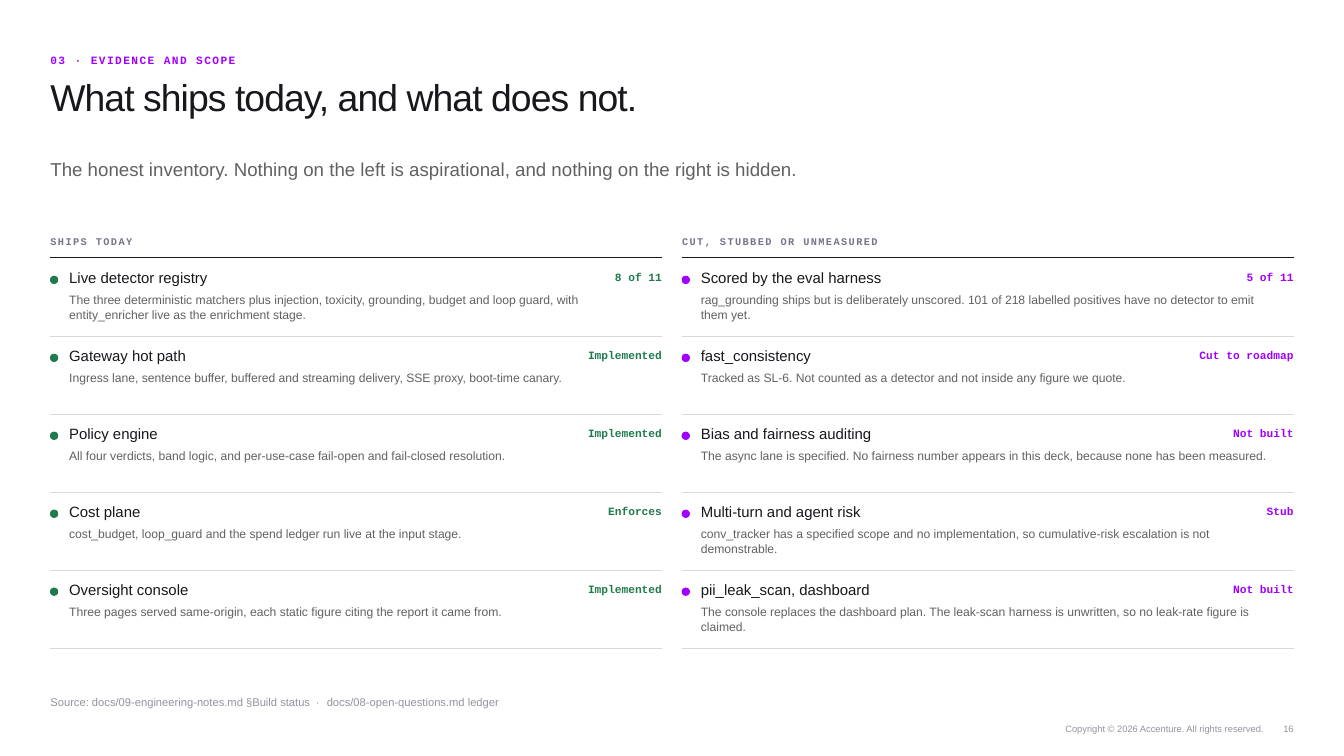
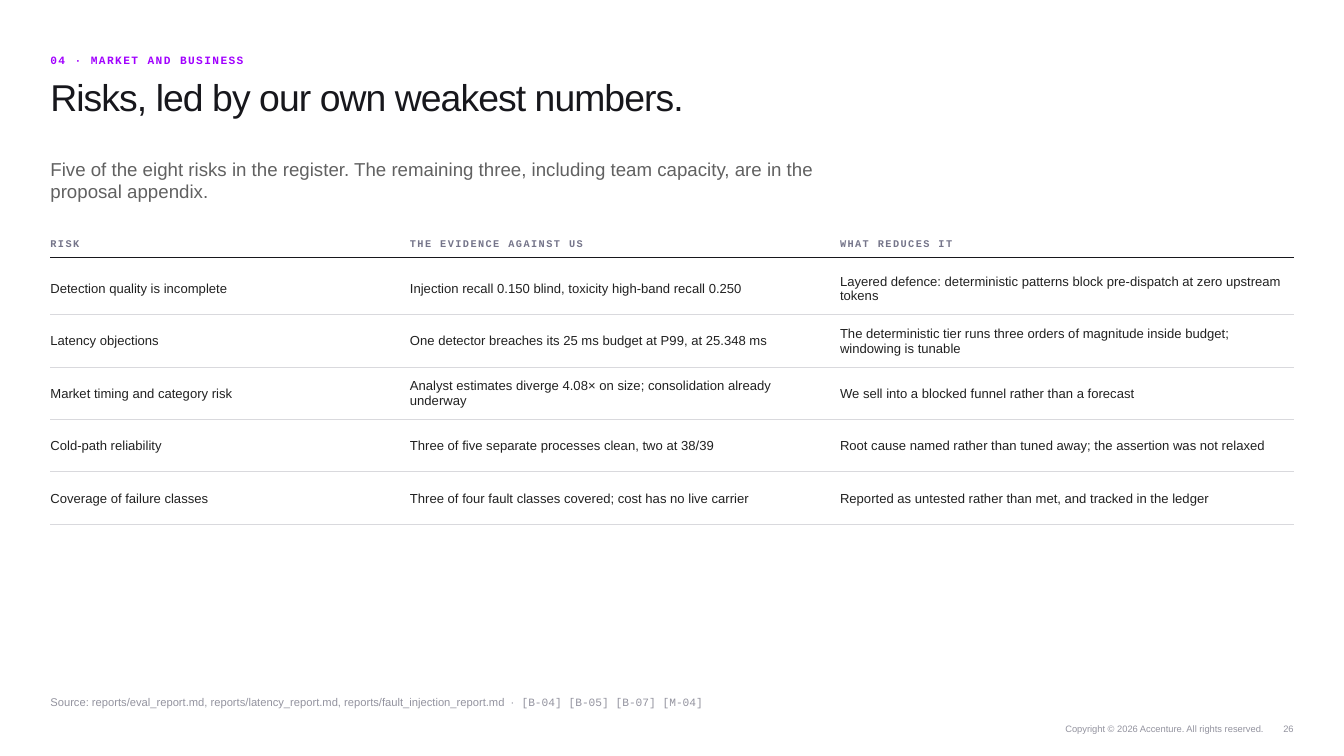
from pptx import Presentation
from pptx.dml.color import RGBColor
from pptx.enum.shapes import MSO_CONNECTOR, MSO_SHAPE
from pptx.enum.text import MSO_ANCHOR, PP_ALIGN
from pptx.oxml.ns import qn
from pptx.util import Pt
from lxml.etree import SubElement

PX = 9144
LEFT, WIDE = 75, 1850
INK = RGBColor(0x17, 0x17, 0x1C)
BODY = RGBColor(0x21, 0x21, 0x21)
GREY = RGBColor(0x61, 0x61, 0x61)
HEAD = RGBColor(0x75, 0x75, 0x8A)
FAINT = RGBColor(0x93, 0x93, 0x9F)
HAIR = RGBColor(0xD9, 0xD9, 0xDD)
GREEN = RGBColor(0x1F, 0x7A, 0x4D)
VIOLET = RGBColor(0xA1, 0x00, 0xFF)
SANS, MONO = "Arial", "Courier New"


def style(run, size, color, face=SANS, bold=False, track=0):
    run.font.size = Pt(size)
    run.font.name = face
    run.font.bold = bold
    run.font.color.rgb = color
    if track:
        run.font._element.set("spc", str(int(track * 100)))


def put(page, spot, text, *look, anchor=MSO_ANCHOR.MIDDLE, align=PP_ALIGN.LEFT):
    frame = page.shapes.add_textbox(*[n * PX for n in spot]).text_frame
    frame.word_wrap = True
    frame.margin_left = frame.margin_right = frame.margin_top = frame.margin_bottom = 0
    frame.vertical_anchor = anchor
    para = frame.paragraphs[0]
    para.text = text
    para.alignment = align
    style(para.runs[0], *look)
    return para


deck = Presentation()
deck.slide_width, deck.slide_height = 2000 * PX, 1125 * PX

pages = [
    ("03 · EVIDENCE AND SCOPE", "What ships today, and what does not.",
     "The honest inventory. Nothing on the left is aspirational, and nothing on the right is hidden.",
     "Source: docs/09-engineering-notes.md §Build status",
     "docs/08-open-questions.md ledger", SANS, "16"),
    ("04 · MARKET AND BUSINESS", "Risks, led by our own weakest numbers.",
     "Five of the eight risks in the register. The remaining three, including team capacity, are in the proposal appendix.",
     "Source: reports/eval_report.md, reports/latency_report.md, reports/fault_injection_report.md",
     "[B-04] [B-05] [B-07] [M-04]", MONO, "26"),
]

for topic, title, lead, source, refs, face, number in pages:
    page = deck.slides.add_slide(deck.slide_layouts[6])
    put(page, (LEFT, 75, 1200, 30), topic, 12, VIOLET, MONO, True, 1.5)
    put(page, (LEFT, 110, 1400, 110), title, 40, INK, SANS, False, -1, anchor=MSO_ANCHOR.TOP)
    put(page, (LEFT, 235, 1200, 80), lead, 20, GREY, anchor=MSO_ANCHOR.TOP)
    para = put(page, (LEFT, 1030, 1700, 30), source, 12, FAINT)
    for text, font, track in [(" · ", SANS, 2.2), (refs, face, 0)]:
        run = para.add_run()
        run.text = text
        style(run, 12, FAINT, font, False, track)
    put(page, (1320, 1070, 560, 30), "Copyright © 2026 Accenture. All rights reserved.",
        10, FAINT, align=PP_ALIGN.RIGHT)
    put(page, (1890, 1070, 35, 30), number, 10, FAINT, align=PP_ALIGN.RIGHT)

scope, risk = deck.slides
rules = []

lists = [
    ("SHIPS TODAY", GREEN, [
        ("Live detector registry", "8 of 11",
         "The three deterministic matchers plus injection, toxicity, grounding, budget and loop guard, "
         "with entity_enricher live as the enrichment stage."),
        ("Gateway hot path", "Implemented",
         "Ingress lane, sentence buffer, buffered and streaming delivery, SSE proxy, boot-time canary."),
        ("Policy engine", "Implemented",
         "All four verdicts, band logic, and per-use-case fail-open and fail-closed resolution."),
        ("Cost plane", "Enforces",
         "cost_budget, loop_guard and the spend ledger run live at the input stage."),
        ("Oversight console", "Implemented",
         "Three pages served same-origin, each static figure citing the report it came from."),
    ]),
    ("CUT, STUBBED OR UNMEASURED", VIOLET, [
        ("Scored by the eval harness", "5 of 11",
         "rag_grounding ships but is deliberately unscored. 101 of 218 labelled positives have "
         "no detector to emit them yet."),
        ("fast_consistency", "Cut to roadmap",
         "Tracked as SL-6. Not counted as a detector and not inside any figure we quote."),
        ("Bias and fairness auditing", "Not built",
         "The async lane is specified. No fairness number appears in this deck, because none has been measured."),
        ("Multi-turn and agent risk", "Stub",
         "conv_tracker has a specified scope and no implementation, so cumulative-risk escalation "
         "is not demonstrable."),
        ("pii_leak_scan, dashboard", "Not built",
         "The console replaces the dashboard plan. The leak-scan harness is unwritten, "
         "so no leak-rate figure is claimed."),
    ]),
]
SPAN, STEP, TOP = 910, 116, 395

for col, (head, tone, items) in enumerate(lists):
    x = LEFT + col * (SPAN + 30)
    put(scope, (x, 345, SPAN, 30), head, 11, HEAD, MONO, True, 1.5)
    rules.append((scope, x, 383, SPAN, INK))
    for row, (name, state, note) in enumerate(items):
        y = TOP + row * STEP
        dot = scope.shapes.add_shape(MSO_SHAPE.OVAL, x * PX, (y + 16) * PX, 11 * PX, 11 * PX)
        dot.shadow.inherit = False
        dot.fill.solid()
        dot.fill.fore_color.rgb = dot.line.color.rgb = tone
        dot.line.width = Pt(1)
        put(scope, (x + 28, y, 510, 36), name, 16, INK)
        put(scope, (x + 540, y, 370, 36), state, 12, tone, MONO, True, align=PP_ALIGN.RIGHT)
        para = put(scope, (x + 28, y + 38, 860, 66), note, 13, GREY, anchor=MSO_ANCHOR.TOP)
        para.line_spacing = 1.08
        rules.append((scope, x, y + 106, SPAN, HAIR))

risks = [
    ("RISK", "THE EVIDENCE AGAINST US", "WHAT REDUCES IT"),
    ("Detection quality is incomplete",
     "Injection recall 0.150 blind, toxicity high-band recall 0.250",
     "Layered defence: deterministic patterns block pre-dispatch at zero upstream tokens"),
    ("Latency objections",
     "One detector breaches its 25 ms budget at P99, at 25.348 ms",
     "The deterministic tier runs three orders of magnitude inside budget; windowing is tunable"),
    ("Market timing and category risk",
     "Analyst estimates diverge 4.08× on size; consolidation already underway",
     "We sell into a blocked funnel rather than a forecast"),
    ("Cold-path reliability",
     "Three of five separate processes clean, two at 38/39",
     "Root cause named rather than tuned away; the assertion was not relaxed"),
    ("Coverage of failure classes",
     "Three of four fault classes covered; cost has no live carrier",
     "Reported as untested rather than met, and tracked in the ledger"),
]
widths = [535, 640, 675]
heights = [38, 85] + [78] * 4

grid = risk.shapes.add_table(len(risks), len(widths), LEFT * PX, 345 * PX, WIDE * PX, sum(heights) * PX).table
grid.horz_banding = False
grid._tbl.tblPr.find(qn("a:tableStyleId")).text = "{2D5ABB26-0587-4C30-8999-92F81FD0307C}"
for col, width in enumerate(widths):
    grid.columns[col].width = width * PX
for row, texts in enumerate(risks):
    grid.rows[row].height = heights[row] * PX
    look = (14, BODY) if row else (11, HEAD, MONO, True, 1.5)
    rules.append((risk, LEFT, 345 + sum(heights[:row + 1]), WIDE, HAIR if row else INK))
    for col, text in enumerate(texts):
        cell = grid.cell(row, col)
        cell.fill.background()
        cell.vertical_anchor = MSO_ANCHOR.MIDDLE
        cell.margin_left = cell.margin_bottom = 0
        cell.margin_right = (35 if col < 2 else 0) * PX
        cell.margin_top = (9 if row == 1 else 2 if row else 0) * PX
        para = cell.text_frame.paragraphs[0]
        para.text = text
        style(para.runs[0], *look)

for page, x, y, span, color in rules:
    line = page.shapes.add_connector(MSO_CONNECTOR.STRAIGHT, x * PX, y * PX, (x + span) * PX, y * PX)
    line.line.color.rgb = color
    line.line.width = Pt(0.75)
    SubElement(line._element.spPr, qn("a:effectLst"))

deck.save("out.pptx")
